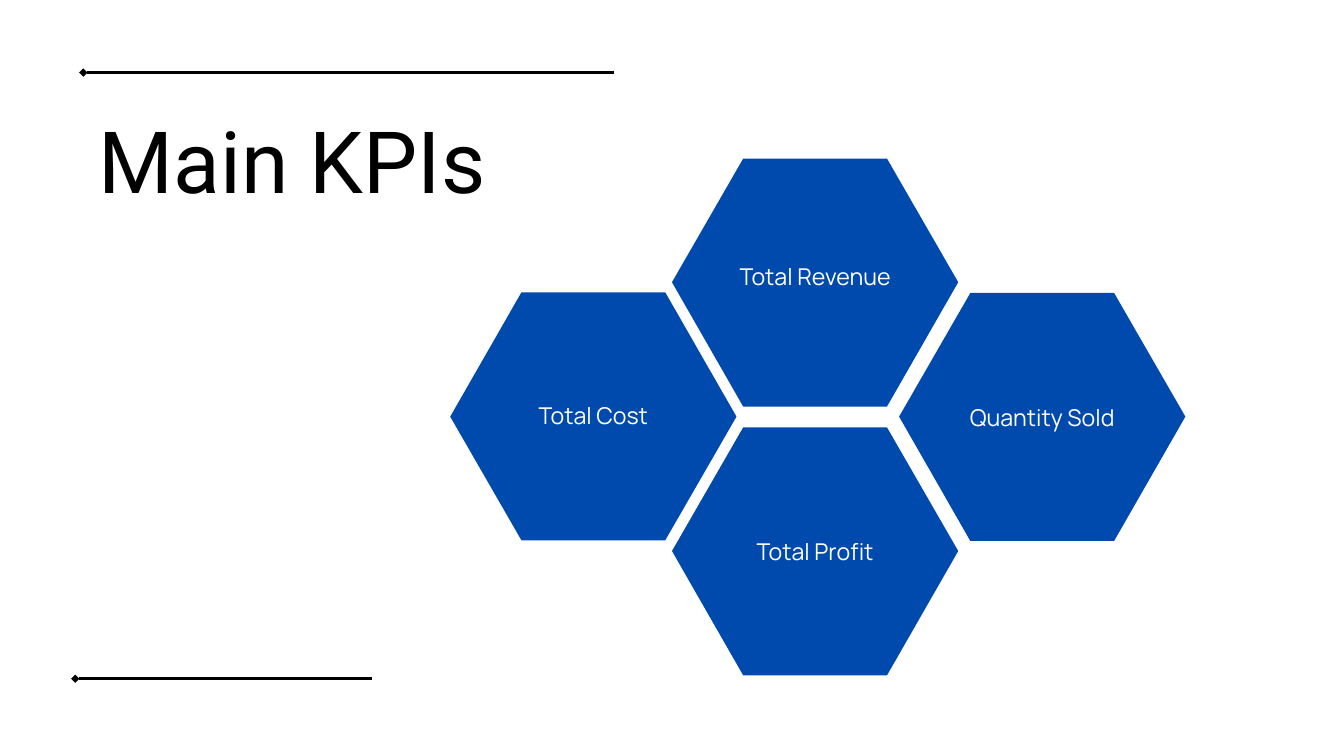
from lxml import etree
from pptx import Presentation
from pptx import util as u
from pptx.dml.color import RGBColor
from pptx.enum import shapes, text
from pptx.oxml.ns import qn

PX = 9144
COLORS = {"ink": "000000", "tile": "004AAD", "label": "FFFFFF"}
TITLE = ("Main KPIs", (89, 135, 692, 171))
RULES = [(112, 553, 1010), (124, 913, 108)]
KPIS = [
    ("Total Revenue", 1000, 236, 383),
    ("Quantity Sold", 1338, 436, 593),
    ("Total Profit", 1000, 636, 793),
    ("Total Cost", 670, 435, 590),
]
HEX_W, HEX_H, HEX_INSET = 426, 369, 106
LABEL_W, LABEL_H = 312, 48


def px(n):
    return u.Emu(round(n * PX))


def color(name):
    return RGBColor.from_string(COLORS[name])


def add_rule(slide, left, right, y):
    rule = slide.shapes.add_connector(
        shapes.MSO_CONNECTOR.STRAIGHT, px(left), px(y), px(right), px(y))
    rule.line.color.rgb = color("ink")
    rule.line.width = u.Pt(3)
    etree.SubElement(rule.line._get_or_add_ln(), qn("a:headEnd"), type="diamond")
    etree.SubElement(rule._element.spPr, qn("a:effectLst"))


def add_hexagon(slide, left, top):
    right, bottom, middle = left + HEX_W, top + HEX_H, top + HEX_H / 2
    inner_left, inner_right = left + HEX_INSET, right - HEX_INSET
    builder = slide.shapes.build_freeform(right, middle, scale=PX)
    builder.add_line_segments([
        (inner_right, bottom), (inner_left, bottom), (left, middle),
        (inner_left, top), (inner_right, top)], close=True)
    hexagon = builder.convert_to_shape()
    hexagon.shadow.inherit = False
    hexagon.fill.solid()
    hexagon.fill.fore_color.rgb = color("tile")
    hexagon.line.fill.background()


def add_text(slide, words, box, font, size, spacing, ink):
    frame = slide.shapes.add_textbox(*map(px, box)).text_frame
    frame.word_wrap = True
    frame.auto_size = text.MSO_AUTO_SIZE.SHAPE_TO_FIT_TEXT
    frame.margin_left = frame.margin_right = 0
    frame.margin_top = frame.margin_bottom = 0
    paragraph = frame.paragraphs[0]
    paragraph.text = words
    paragraph.alignment = text.PP_ALIGN.CENTER
    paragraph.line_spacing = u.Pt(spacing)
    paragraph.font.name = font
    paragraph.font.size = u.Pt(size)
    paragraph.font.color.rgb = color(ink)


def main():
    deck = Presentation()
    deck.slide_width, deck.slide_height = px(2000), px(1125)
    slide = deck.slides.add_slide(deck.slide_layouts[6])
    for rule in RULES:
        add_rule(slide, *rule)
    for _, left, top, _ in KPIS:
        add_hexagon(slide, left, top)
    for name, left, _, label_top in KPIS:
        label_left = left + (HEX_W - LABEL_W) / 2
        add_text(slide, name, (label_left, label_top, LABEL_W, LABEL_H),
                 "Manrope", 24.8, 34.7, "label")
    add_text(slide, *TITLE, "Roboto", 92, 128.8, "ink")
    deck.save("out.pptx")


if __name__ == "__main__":
    main()
